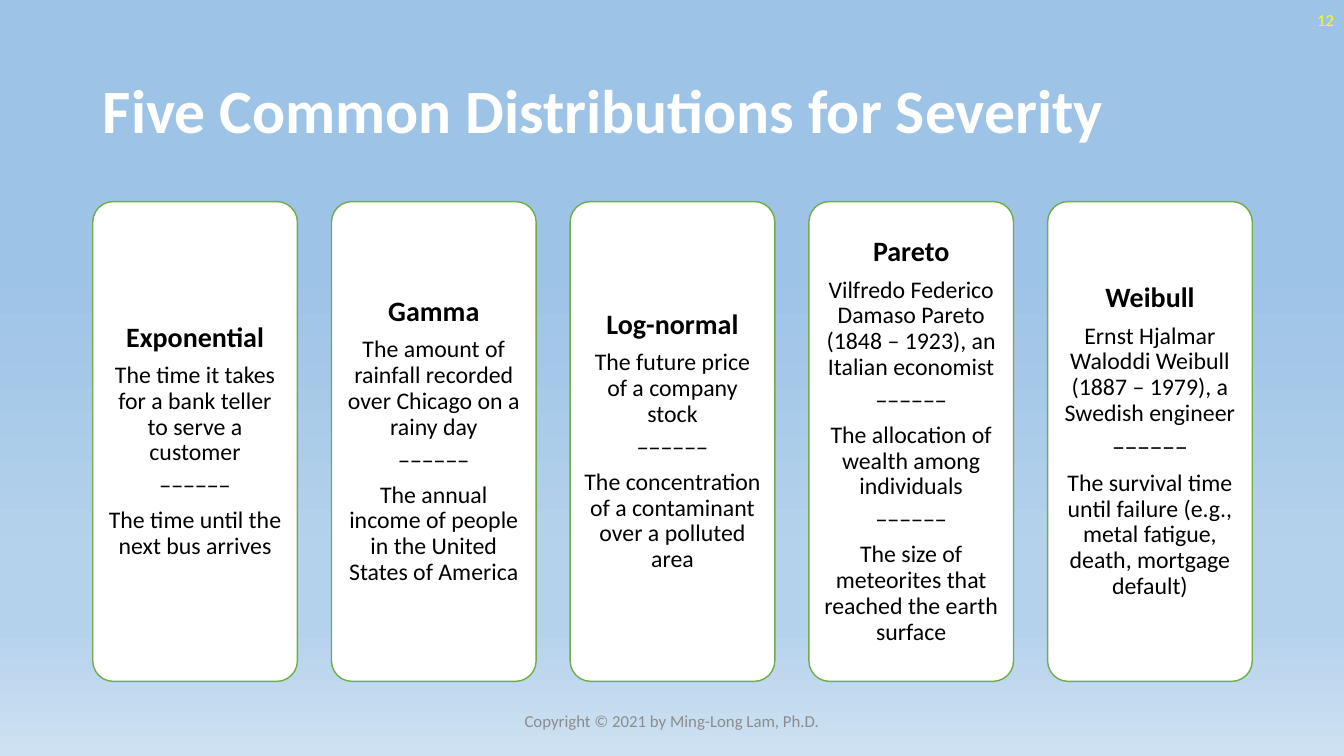
from lxml.etree import SubElement
from pptx import Presentation
from pptx.dml.color import RGBColor
from pptx.enum.shapes import MSO_SHAPE
from pptx.enum.text import MSO_ANCHOR, MSO_AUTO_SIZE, PP_ALIGN
from pptx.oxml.ns import qn
from pptx.util import Inches, Pt

COLORS = {
    "white": "FFFFFF", "black": "000000", "green": "70AD47",
    "yellow": "FFFF00", "gray": "8C8C8C",
}
SKY = [(35, "9DC3E6"), (74, "B5D2EC"), (83, "B5D2EC"), (100, "CEE1F2")]
FONT = "Calibri"
SLIDE_WIDTH, SLIDE_HEIGHT = 13.33, 7.5
MARGIN, CONTENT_WIDTH = 0.92, 11.5
CARD_TOP, CARD_HEIGHT = 2, 4.76
DIVIDER = "−−−−−−"

# Heading, divider size, body paragraphs
DISTRIBUTIONS = [
    ("Exponential", 17, [
        "The time it takes for a bank teller to serve a customer",
        "The time until the next bus arrives"]),
    ("Gamma", 17, [
        "The amount of rainfall recorded over Chicago on a rainy day",
        "The annual income of people in the United States of America"]),
    ("Log-normal", 17, [
        "The future price of a company stock",
        "The concentration of a contaminant over a polluted area"]),
    ("Pareto", 17, [
        "Vilfredo Federico Damaso Pareto (1848 – 1923), an Italian economist",
        "The allocation of wealth among individuals",
        "The size of meteorites that reached the earth surface"]),
    ("Weibull", 18, [
        "Ernst Hjalmar Waloddi Weibull (1887 – 1979), a Swedish engineer",
        "The survival time until failure (e.g., metal fatigue, death, mortgage default)"]),
]


def color(name):
    return RGBColor.from_string(COLORS[name])


def write(frame, text, size, fill, bold=False, align=PP_ALIGN.CENTER,
          line_spacing=1.0, after=0):
    paragraph = frame.paragraphs[0] if not frame.text else frame.add_paragraph()
    paragraph.alignment = align
    paragraph.line_spacing = line_spacing
    paragraph.space_before = Pt(0)
    paragraph.space_after = Pt(after)
    run = paragraph.add_run()
    run.text = text
    run.font.name = FONT
    run.font.size = Pt(size)
    run.font.bold = bold
    run.font.color.rgb = color(fill)


def prepare_frame(shape, inset=None):
    frame = shape.text_frame
    frame.word_wrap = True
    frame.auto_size = MSO_AUTO_SIZE.NONE
    frame.vertical_anchor = MSO_ANCHOR.MIDDLE
    if inset is not None:
        frame.margin_left = frame.margin_right = Inches(inset)
        frame.margin_top = frame.margin_bottom = Inches(inset)
    return frame


def paint_background(slide):
    fill = slide.background.fill
    fill.gradient()
    fill.gradient_angle = 270
    stops = slide.element.find(".//" + qn("a:gsLst"))
    for stop in list(stops):
        stops.remove(stop)
    for position, value in SKY:
        stop = SubElement(stops, qn("a:gs"), pos=str(position * 1000))
        SubElement(stop, qn("a:srgbClr"), val=value)


def add_title(slide, text):
    title = slide.shapes.title
    title.left, title.top = Inches(MARGIN), Inches(0.4)
    title.width, title.height = Inches(CONTENT_WIDTH), Inches(1.45)
    write(prepare_frame(title), text, 44, "white", bold=True,
          align=PP_ALIGN.LEFT, line_spacing=0.9)


def add_label(slide, text, left, top, width, fill, align):
    box = slide.shapes.add_textbox(
        Inches(left), Inches(top), Inches(width), Inches(0.4))
    write(prepare_frame(box), text, 12, fill, align=align)


def add_card(slide, left, width, heading, divider_size, bodies):
    card = slide.shapes.add_shape(
        MSO_SHAPE.ROUNDED_RECTANGLE, Inches(left), Inches(CARD_TOP),
        Inches(width), Inches(CARD_HEIGHT))
    card.adjustments[0] = 0.1
    card.shadow.inherit = False
    card.fill.solid()
    card.fill.fore_color.rgb = color("white")
    card.line.color.rgb = color("green")
    card.line.width = Pt(1)
    # The rounded outline adds its own inset to the text area
    frame = prepare_frame(card, inset=0.08)
    lines = [(heading, 20)]
    for index, body in enumerate(bodies):
        if index:
            lines.append((DIVIDER, divider_size))
        lines.append((body, 17))
    for text, size in lines:
        write(frame, text, size, "black", bold=text == heading,
              line_spacing=0.9, after=0.35 * size)


def main():
    presentation = Presentation()
    presentation.slide_width = Inches(SLIDE_WIDTH)
    presentation.slide_height = Inches(SLIDE_HEIGHT)
    slide = presentation.slides.add_slide(presentation.slide_layouts[5])
    paint_background(slide)
    add_title(slide, "Five Common Distributions for Severity")

    count = len(DISTRIBUTIONS)
    width = CONTENT_WIDTH / (count + (count - 1) / 6)
    pitch = width * 7 / 6
    for column, distribution in enumerate(DISTRIBUTIONS):
        add_card(slide, MARGIN + column * pitch, width, *distribution)

    add_label(slide, "12", SLIDE_WIDTH - 3, 0, 3, "yellow", PP_ALIGN.RIGHT)
    add_label(slide, "Copyright © 2021 by Ming-Long Lam, Ph.D.",
              (SLIDE_WIDTH - 4.5) / 2, 6.95, 4.5, "gray", PP_ALIGN.CENTER)
    presentation.save("out.pptx")


if __name__ == "__main__":
    main()
